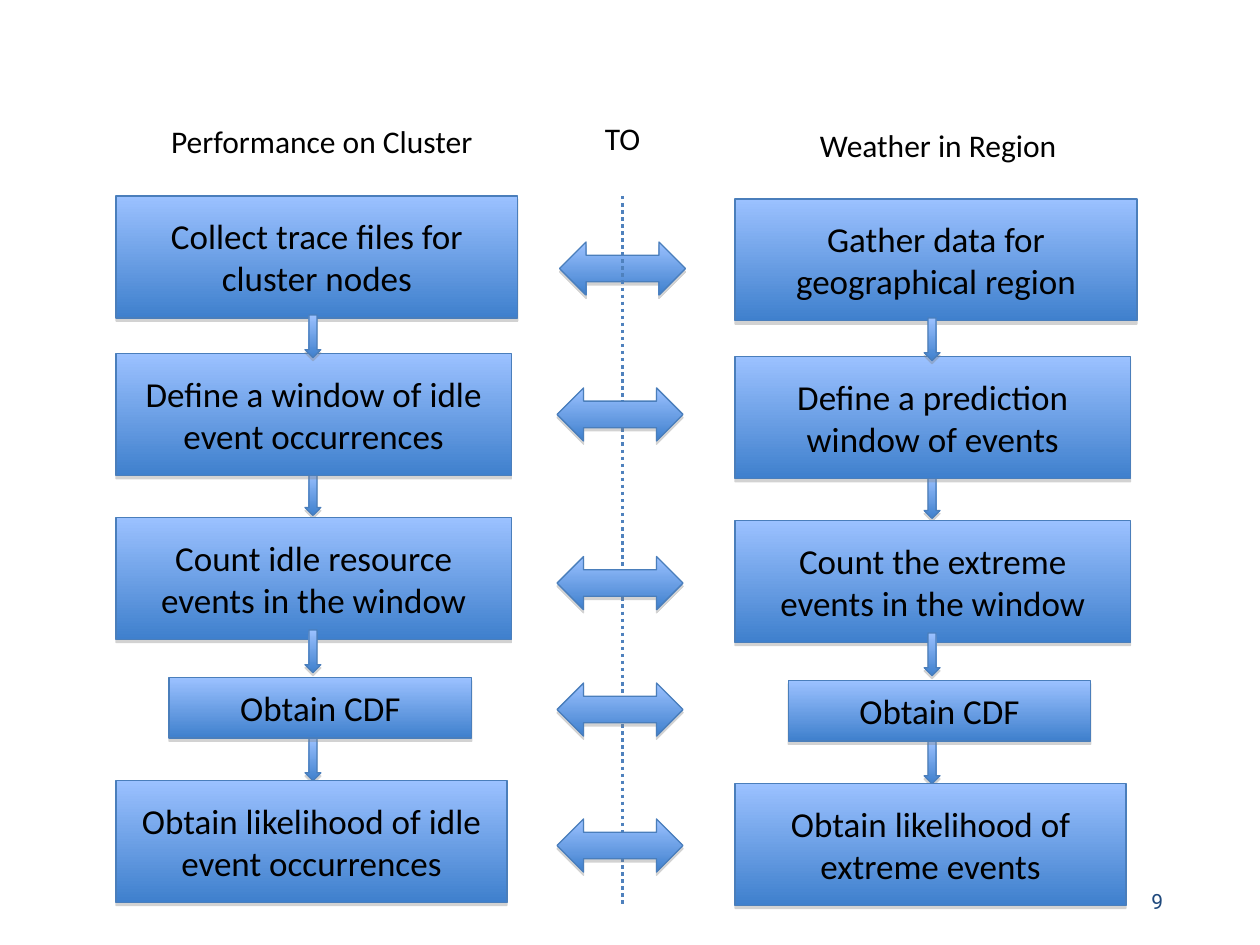
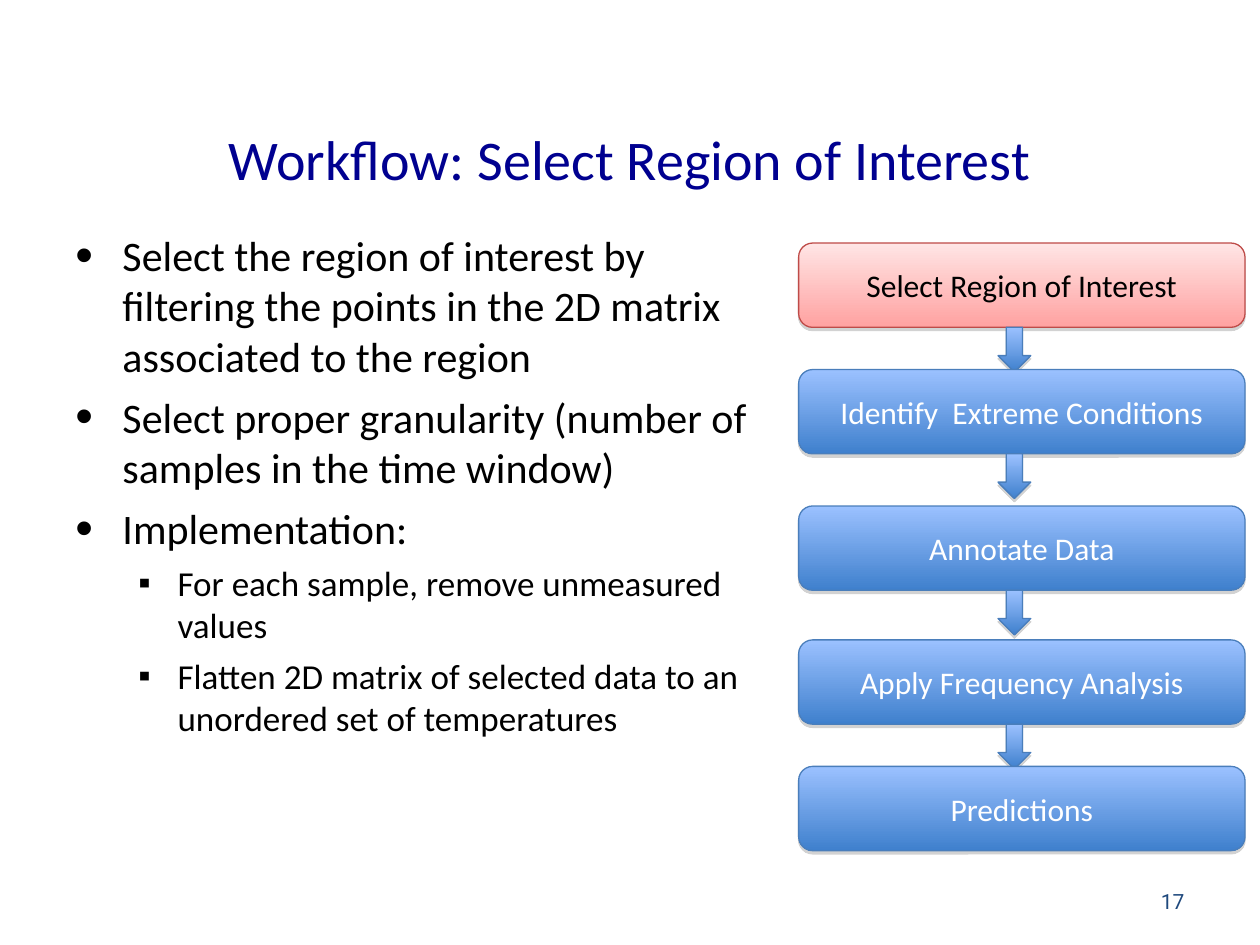
from lxml import etree
from pptx import Presentation
from pptx.dml.color import RGBColor
from pptx.enum.dml import MSO_LINE
from pptx.enum.shapes import MSO_CONNECTOR, MSO_SHAPE
from pptx.enum.text import MSO_ANCHOR, PP_ALIGN
from pptx.oxml.ns import qn
from pptx.util import Cm, Pt

RECTANGLE = MSO_SHAPE.RECTANGLE
ROUNDED = MSO_SHAPE.ROUNDED_RECTANGLE
DOWN_ARROW = MSO_SHAPE.DOWN_ARROW
TWO_WAY_ARROW = MSO_SHAPE.LEFT_RIGHT_ARROW
STRAIGHT = MSO_CONNECTOR.STRAIGHT
DOTTED = MSO_LINE.ROUND_DOT
MIDDLE = MSO_ANCHOR.MIDDLE
LEFT, CENTER, RIGHT = PP_ALIGN.LEFT, PP_ALIGN.CENTER, PP_ALIGN.RIGHT

color = RGBColor.from_string
BODY_FONT, NUMBER_FONT = "Calibri", "Roboto"
BLACK, WHITE = "000000", "FFFFFF"
TITLE_BLUE, NUMBER_BLUE, DIVIDER_BLUE = "000090", "1F497D", "4F81BD"
SHADOW_GRAY = "808080"
# top shade, bottom shade, outline
BLUE = ("9BC1FF", "3F80CD", "4A7EBB")
RED = ("FFE5E5", "FFA2A1", "BE4B48")


def add_block(slide, kind, left, top, width, height, shades=BLUE):
    """Add a shape with a vertical gradient, a thin outline and a drop shadow."""
    block = slide.shapes.add_shape(kind, Cm(left), Cm(top), Cm(width), Cm(height))
    block.fill.gradient()
    block.fill.gradient_angle = 270
    for stop, shade in zip(block.fill.gradient_stops, shades):
        stop.color.rgb = color(shade)
    block.line.color.rgb = color(shades[2])
    block.line.width = Pt(0.75)
    block.shadow.inherit = False
    effects = block._element.spPr.find(qn("a:effectLst"))
    shadow = etree.SubElement(effects, qn("a:outerShdw"), blurRad="0",
                              dist=str(Pt(1.8)), dir="5400000", rotWithShape="0")
    tint = etree.SubElement(shadow, qn("a:srgbClr"), val=SHADOW_GRAY)
    etree.SubElement(tint, qn("a:alpha"), val="35000")
    return block


def write(shape, lines, size, ink=BLACK, align=CENTER, font=BODY_FONT,
          anchor=MIDDLE, wrap=True):
    """Fill a shape with one paragraph per line and return the paragraphs."""
    frame = shape.text_frame
    frame.word_wrap = wrap
    frame.vertical_anchor = anchor
    for number, line in enumerate(lines):
        paragraph = frame.add_paragraph() if number else frame.paragraphs[0]
        paragraph.alignment = align
        run = paragraph.add_run()
        run.text = line
        run.font.name = font
        run.font.size = Pt(size)
        run.font.color.rgb = color(ink)
    return frame.paragraphs


prs = Presentation()
prs.slide_width, prs.slide_height = Cm(25.4), Cm(19.05)
blank = prs.slide_layouts[6]
mapping, workflow = prs.slides.add_slide(blank), prs.slides.add_slide(blank)

for slide, number, left in ((mapping, "9", 17.78), (workflow, "17", 18.21)):
    page = slide.shapes.add_textbox(Cm(left), Cm(17.65), Cm(5.92), Cm(1.02))
    write(page, [number], 12, NUMBER_BLUE, RIGHT, NUMBER_FONT)

# Slide 1: cluster performance mapped to regional weather
headings = [("Performance on Cluster", 3.2, 2.34, 6.63, LEFT, False),
            ("TO", 11.28, 2.28, 2.54, CENTER, True),
            ("Weather in Region", 16.28, 2.42, 5.31, LEFT, False)]
for heading, left, top, width, align, wrap in headings:
    label = mapping.shapes.add_textbox(Cm(left), Cm(top), Cm(width), Cm(1.02))
    write(label, [heading], 18, align=align, anchor=MSO_ANCHOR.TOP, wrap=wrap)

# left, top, width and height of each step in the cluster column
step_boxes = [(2.34, 3.95, 8.1, 2.46), (2.34, 7.13, 7.97, 2.46),
              (2.34, 10.43, 7.97, 2.46), (3.41, 13.66, 6.1, 1.22),
              (2.34, 15.73, 7.88, 2.46)]
step_arrow_tops = [6.35, 9.53, 12.7, 14.88]
cluster_steps = [["Collect trace files for cluster nodes"],
                 ["Define a window of idle event occurrences"],
                 ["Count idle resource events in the window"],
                 ["Obtain CDF"],
                 ["Obtain likelihood of idle event occurrences"]]
weather_steps = [["Gather data for geographical region"],
                 ["Define a prediction window of events"],
                 ["Count the extreme", "events in the window"],
                 ["Obtain CDF"],
                 ["Obtain likelihood of extreme events"]]

for steps, shift, drop in ((cluster_steps, 0, 0), (weather_steps, 12.48, 0.06)):
    # every second arrow lies behind the boxes, the others in front
    for top in step_arrow_tops[1::2]:
        add_block(mapping, DOWN_ARROW, 6.15 + shift, top + drop, 0.32, 0.86)
    for lines, (left, top, width, height) in zip(steps, step_boxes):
        step = add_block(mapping, RECTANGLE, left + shift, top + drop, width, height)
        write(step, lines, 20)
    for top in step_arrow_tops[::2]:
        add_block(mapping, DOWN_ARROW, 6.15 + shift, top + drop, 0.32, 0.86)

add_block(mapping, TWO_WAY_ARROW, 11.28, 4.88, 2.54, 1.07)
divider = mapping.shapes.add_connector(STRAIGHT, Cm(12.55), Cm(3.95), Cm(12.55), Cm(18.29))
divider.line.color.rgb = color(DIVIDER_BLUE)
divider.line.width = Pt(2)
divider.line.dash_style = DOTTED
etree.SubElement(divider._element.spPr, qn("a:effectLst"))
for top in (7.82, 11.22, 13.77, 16.51):
    add_block(mapping, TWO_WAY_ARROW, 11.23, top, 2.54, 1.07)

# Slide 2: first step of the workflow
title = workflow.shapes.add_textbox(Cm(1.27), Cm(2.34), Cm(22.86), Cm(1.7))
write(title, ["Workflow: Select Region of Interest"], 32, TITLE_BLUE)

points = [
    (0, "Select the region of interest by filtering the points in the 2D matrix "
        "associated to the region"),
    (0, "Select proper granularity (number of samples in the time window)"),
    (0, "Implementation:"),
    (1, "For each sample, remove unmeasured values"),
    (1, "Flatten 2D matrix of selected data to an unordered set of temperatures"),
]
# per level: text size, space before, left margin, hanging indent, bullet, bullet size
levels = [(24, 6, 0.95, 0.95, "•", 120), (20, 5, 2.06, 0.79, "▪", 100)]
body = workflow.shapes.add_textbox(Cm(1.27), Cm(4.5), Cm(14.4), Cm(13.16))
paragraphs = write(body, [text for _, text in points], 24, align=LEFT,
                   anchor=MSO_ANCHOR.TOP)
for position, (paragraph, (level, _)) in enumerate(zip(paragraphs, points)):
    size, space, margin, hang, bullet, bullet_size = levels[level]
    paragraph.level = level
    paragraph.runs[0].font.size = Pt(size)
    if position:
        paragraph.space_before = Pt(space)
    properties = paragraph._p.get_or_add_pPr()
    properties.set("marL", str(Cm(margin)))
    properties.set("indent", str(-Cm(hang)))
    bullet_color = etree.SubElement(properties, qn("a:buClr"))
    etree.SubElement(bullet_color, qn("a:srgbClr"), val=BLACK)
    etree.SubElement(properties, qn("a:buSzPct"), val=str(bullet_size * 1000))
    etree.SubElement(properties, qn("a:buFont"), typeface="Arial")
    etree.SubElement(properties, qn("a:buChar"), char=bullet)

stages = [("Select Region of Interest", 4.9, RED, BLACK),
          ("Identify  Extreme Conditions", 7.45, BLUE, WHITE),
          ("Annotate Data", 10.2, BLUE, WHITE),
          ("Apply Frequency Analysis", 12.9, BLUE, WHITE),
          ("Predictions", 15.45, BLUE, WHITE)]
stage_height = 1.7
for number, (name, top, shades, ink) in enumerate(stages, 1):
    stage = add_block(workflow, ROUNDED, 16.1, top, 9, stage_height, shades)
    write(stage, [name], 18, ink)
    if number < len(stages):
        add_block(workflow, DOWN_ARROW, 20.12, top + stage_height, 0.66, 0.9)

prs.save("out.pptx")
